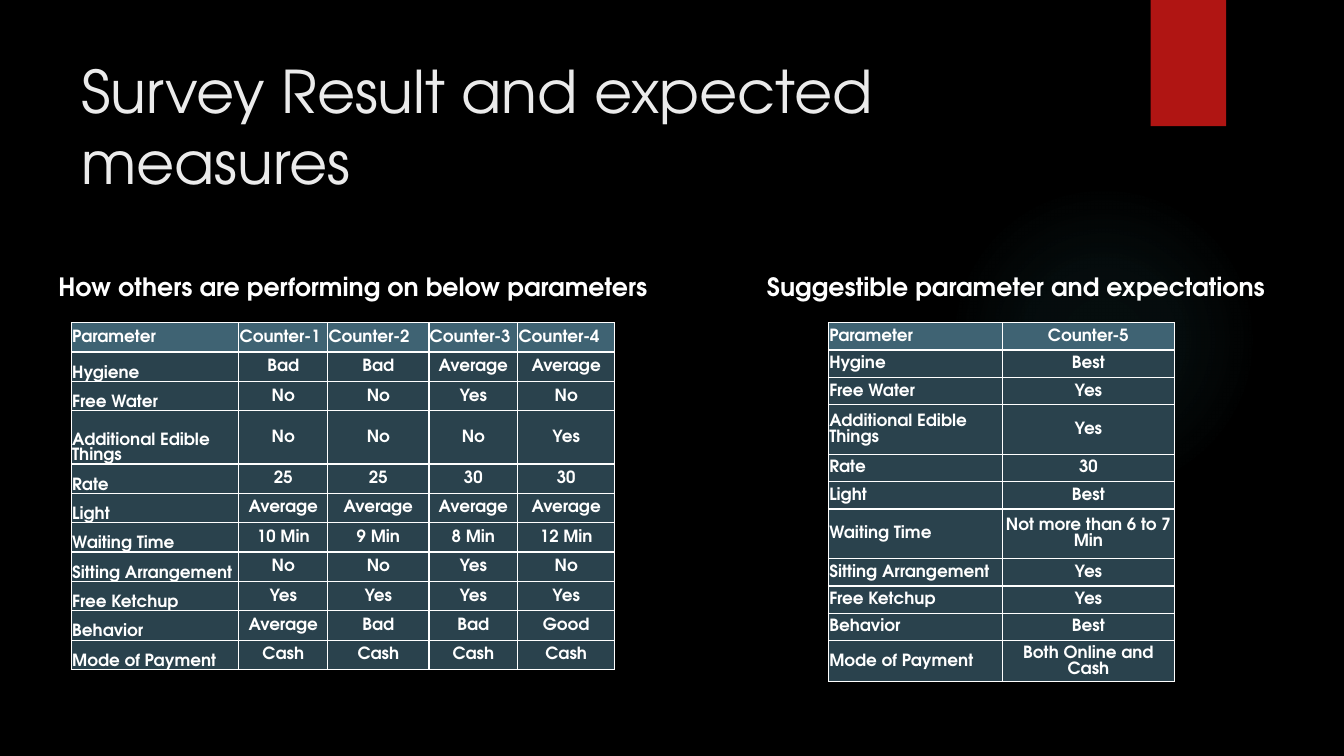
from lxml import etree
from pptx import Presentation
from pptx.dml.color import RGBColor
from pptx.enum.shapes import MSO_SHAPE
from pptx.enum.text import MSO_ANCHOR, PP_ALIGN
from pptx.oxml import parse_xml
from pptx.util import Cm, Pt

RECT, OVAL = MSO_SHAPE.RECTANGLE, MSO_SHAPE.OVAL
TOP, MIDDLE, BOTTOM = MSO_ANCHOR.TOP, MSO_ANCHOR.MIDDLE, MSO_ANCHOR.BOTTOM
LEFT, CENTER = PP_ALIGN.LEFT, PP_ALIGN.CENTER
FONT = "TeX Gyre Adventor"
NS = "http://schemas.openxmlformats.org/drawingml/2006/main"

OTHERS = """Parameter|Counter-1|Counter-2|Counter-3|Counter-4
Hygiene|Bad|Bad|Average|Average
Free Water|No|No|Yes|No
Additional Edible Things|No|No|No|Yes
Rate|25|25|30|30
Light|Average|Average|Average|Average
Waiting Time|10 Min|9 Min|8 Min|12 Min
Sitting Arrangement|No|No|Yes|No
Free Ketchup|Yes|Yes|Yes|Yes
Behavior|Average|Bad|Bad|Good
Mode of Payment|Cash|Cash|Cash|Cash"""

GOALS = """Parameter|Counter-5
Hygine|Best
Free Water|Yes
Additional Edible Things|Yes
Rate|30
Light|Best
Waiting Time|Not more than 6 to 7 Min
Sitting Arrangement|Yes
Free Ketchup|Yes
Behavior|Best
Mode of Payment|Both Online and Cash"""


def color(fmt, code):
    if hasattr(fmt, "solid"):
        fmt.solid()
        fmt = fmt.fore_color
    else:
        fmt = fmt.color
    fmt.rgb = RGBColor.from_string(code)


def assign(item, values):
    for key, value in values.items():
        setattr(item, key, value)


def write(frame, text, size, code, bold, align=LEFT):
    para = frame.paragraphs[0]
    para.alignment = align
    run = para.add_run()
    run.text = text
    assign(run.font, {"name": FONT, "size": Pt(size), "bold": bold})
    color(run.font, code)


def label(slide, box, text, size, code, bold):
    frame = slide.shapes.add_textbox(*map(Cm, box)).text_frame
    assign(frame, {"word_wrap": True, "vertical_anchor": TOP})
    write(frame, text, size, code, bold)


def shape(slide, kind, box):
    item = slide.shapes.add_shape(kind, *map(Cm, box))
    item.shadow.inherit = False
    item.line.fill.background()
    return item


def glow(slide, box):
    item = shape(slide, OVAL, box)
    stops = "".join(
        f'<a:gs pos="{pos}000"><a:srgbClr val="50B9C1">'
        f'<a:alpha val="{alpha}000"/></a:srgbClr></a:gs>'
        for pos, alpha in ((0, 7), (36, 6), (69, 0), (100, 0)))
    grad = parse_xml(
        f'<a:gradFill xmlns:a="{NS}"><a:gsLst>{stops}</a:gsLst>'
        '<a:path path="circle"><a:fillToRect l="50000" t="50000" '
        'r="50000" b="50000"/></a:path></a:gradFill>')
    item._element.spPr.find(f"{{{NS}}}prstGeom").addnext(grad)


def border(cell):
    props = cell._tc.get_or_add_tcPr()
    for spot, side in enumerate("LRTB"):
        line = etree.Element(f"{{{NS}}}ln{side}", w="12700")
        fill = etree.SubElement(line, f"{{{NS}}}solidFill")
        etree.SubElement(fill, f"{{{NS}}}srgbClr", val="FFFFFF")
        props.insert(spot, line)


def grid(slide, box, source, wide, high, side, head):
    rows = [line.split("|") for line in source.splitlines()]
    left, top = box
    table = slide.shapes.add_table(
        len(rows), len(wide), Cm(left), Cm(top),
        Cm(sum(wide)), Cm(sum(high))).table
    for col, size in zip(table.columns, wide):
        col.width = Cm(size)
    for r, (row, texts) in enumerate(zip(table.rows, rows)):
        row.height = Cm(high[r])
        for c, text in enumerate(texts):
            cell = table.cell(r, c)
            assign(cell, {
                "margin_left": Cm(0.02), "margin_right": Cm(0.02),
                "margin_top": Cm(0.02), "margin_bottom": Cm(0),
                "vertical_anchor": side if r and not c else MIDDLE})
            color(cell.fill, "2A424D" if r else "3F6373")
            border(cell)
            align = LEFT if not c else CENTER if r else head
            write(cell.text_frame, text, 12, "FFFFFF", True, align)


def panel(slide, box, title, shift, *parts):
    left, top, width = box
    label(slide, (left, top, width, 1.02), title, 18, "FFFFFF", True)
    grid(slide, (left + shift, top + 1.42), *parts)


def main():
    deck = Presentation()
    assign(deck, {"slide_width": Cm(33.87), "slide_height": Cm(19.05)})
    slide = deck.slides.add_slide(deck.slide_layouts[6])
    color(slide.background.fill, "000000")
    glow(slide, (23.9, 4.65, 7.82, 7.82))
    color(shape(slide, RECT, (29, 0, 1.9, 3.18)).fill, "B01513")
    label(slide, (1.8, 1.26, 26.14, 3.89),
          "Survey Result and expected measures", 42, "EBEBEB", False)
    panel(slide, (1.22, 6.71, 15.57),
          "How others are performing on below parameters", 0.58, OTHERS,
          (4.22, 2.24, 2.55, 2.24, 2.44),
          [0.74] * 3 + [1.34] + [0.74] * 7, BOTTOM, LEFT)
    panel(slide, (19.08, 6.71, 15.57),
          "Suggestible parameter and expectations", 1.8, GOALS,
          (4.38, 4.34),
          [0.69] * 3 + [1.25] + [0.69] * 2 + [1.25] + [0.69] * 3 + [1.04],
          MIDDLE, CENTER)
    deck.save("out.pptx")


if __name__ == "__main__":
    main()
